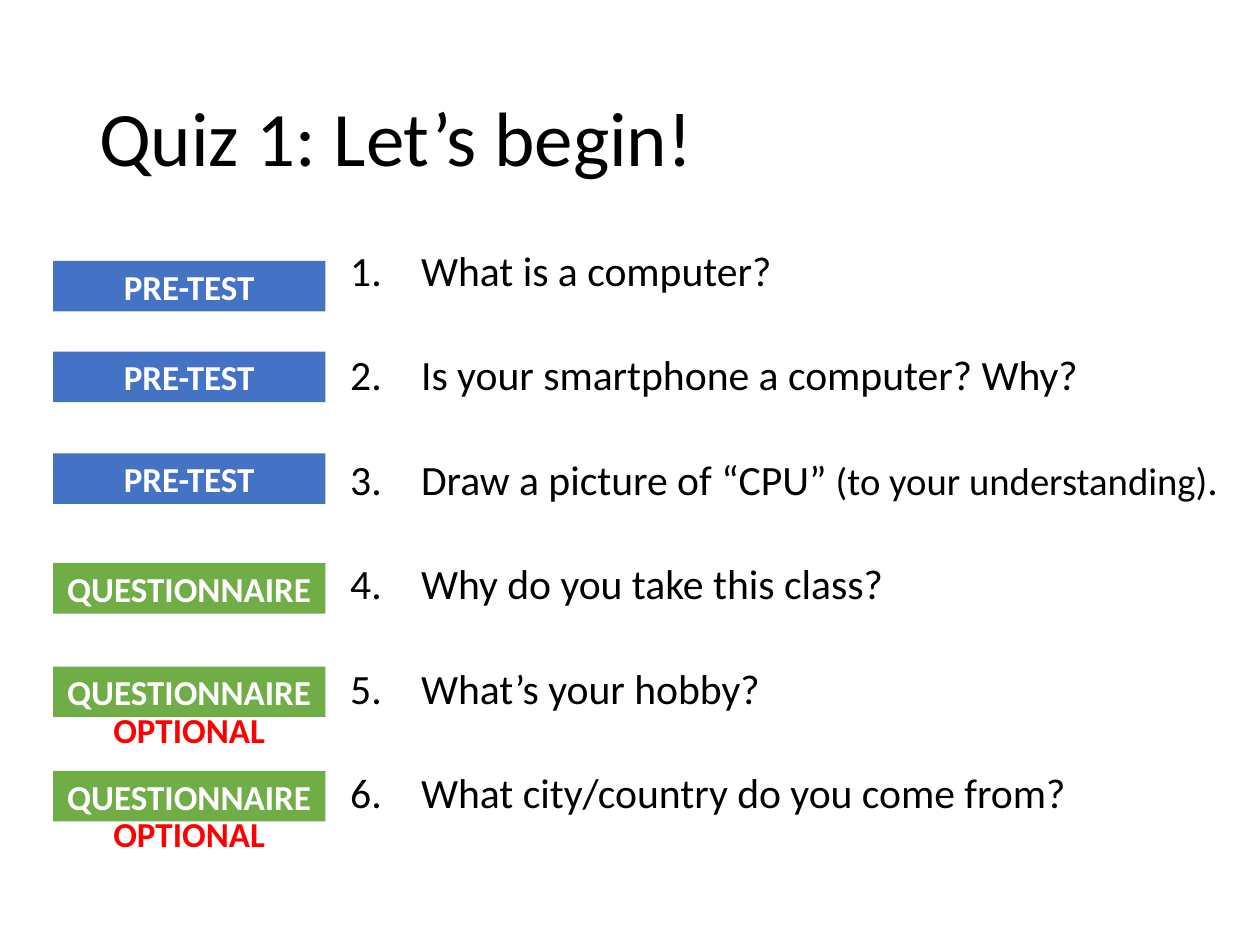
import pptx
import pptx.util
import pptx.dml.color
import pptx.enum.shapes
import pptx.enum.text
import lxml.etree

Cm, Pt = pptx.util.Cm, pptx.util.Pt
ALIGN = pptx.enum.text.PP_ALIGN
MIDDLE = pptx.enum.text.MSO_ANCHOR.MIDDLE
HUES = {"text": "000000", "test": "4472C4", "form": "70AD47",
        "label": "FFFFFF", "note": "FF0000"}
TEST = ("PRE-TEST", "test", False)
FORM = ("QUESTIONNAIRE", "form", False)
EXTRA = ("QUESTIONNAIRE", "form", True)
# Badge top in cm, badge kind, question as (text, size) runs
ITEMS = [
    (5.26, TEST, [("What is a computer?", 23.8)]),
    (7.09, TEST, [("Is your smartphone a computer? Why?", 23.8)]),
    (9.14, TEST, [("Draw a picture of “CPU” ", 23.8),
                  ("(to your understanding)", 22.1), (".", 23.8)]),
    (11.35, FORM, [("Why do you take this class?", 23.8)]),
    (13.44, EXTRA, [("What’s your hobby?", 23.8)]),
    (15.54, EXTRA, [("What city/country do you come from?", 23.8)]),
]


def rgb(name):
    return pptx.dml.color.RGBColor.from_string(HUES[name])


def style(para, size, hue, bold=False):
    font = para.font
    font.name, font.size, font.bold = "Calibri", Pt(size), bold
    font.color.rgb = rgb(hue)


def add_box(slide, left, top, width, height):
    box = slide.shapes.add_textbox(Cm(left), Cm(top), Cm(width), Cm(height))
    box.text_frame.word_wrap = True
    return box


def label(shape, text, hue):
    frame = shape.text_frame
    frame.word_wrap = True
    frame.vertical_anchor = MIDDLE
    para = frame.paragraphs[0]
    para.text, para.alignment = text, ALIGN.CENTER
    style(para, 20, hue, True)


def add_title(slide, left, top, width, height):
    frame = add_box(slide, left, top, width, height).text_frame
    frame.vertical_anchor = MIDDLE
    para = frame.paragraphs[0]
    para.text, para.line_spacing = "Quiz 1: Let’s begin!", 0.9
    style(para, 44, "text")


def add_list(slide, left, top, width, height):
    frame = add_box(slide, left, top, width, height).text_frame
    for i, (_, _, runs) in enumerate(ITEMS):
        para = frame.add_paragraph() if i else frame.paragraphs[0]
        para.line_spacing = 0.7
        para.space_before = Pt(39.7 if i else 0)
        style(para, 23.8, "text")
        for text, size in runs:
            run = para.add_run()
            run.text = text
            if size != 23.8:
                run.font.size = Pt(size)
        # Hanging automatic number
        props = para._p.get_or_add_pPr()
        props.set("marL", str(Cm(1.43)))
        props.set("indent", str(-Cm(1.43)))
        num = lxml.etree.Element(pptx.oxml.ns.qn("a:buAutoNum"),
                                 type="arabicPeriod")
        props.find(pptx.oxml.ns.qn("a:defRPr")).addprevious(num)


def add_badge(slide, left, top, width, height, kind):
    text, hue, extra = kind
    badge = slide.shapes.add_shape(pptx.enum.shapes.MSO_SHAPE.RECTANGLE,
                                   Cm(left), Cm(top), Cm(width), Cm(height))
    badge.shadow.inherit = False
    badge.fill.solid()
    badge.fill.fore_color.rgb = rgb(hue)
    badge.line.fill.background()
    label(badge, text, "label")
    if extra:
        note = add_box(slide, left, top + 0.76, width, height)
        label(note, "OPTIONAL", "note")


deck = pptx.Presentation()
deck.slide_width, deck.slide_height = Cm(25.4), Cm(19.05)
slide = deck.slides.add_slide(deck.slide_layouts[6])
add_title(slide, 1.75, 1.02, 21.9, 3.68)
add_list(slide, 6.81, 5.08, 18.59, 12.09)
for top, kind, _ in ITEMS:
    add_badge(slide, 1.07, top, 5.49, 1.02, kind)
deck.save("out.pptx")
